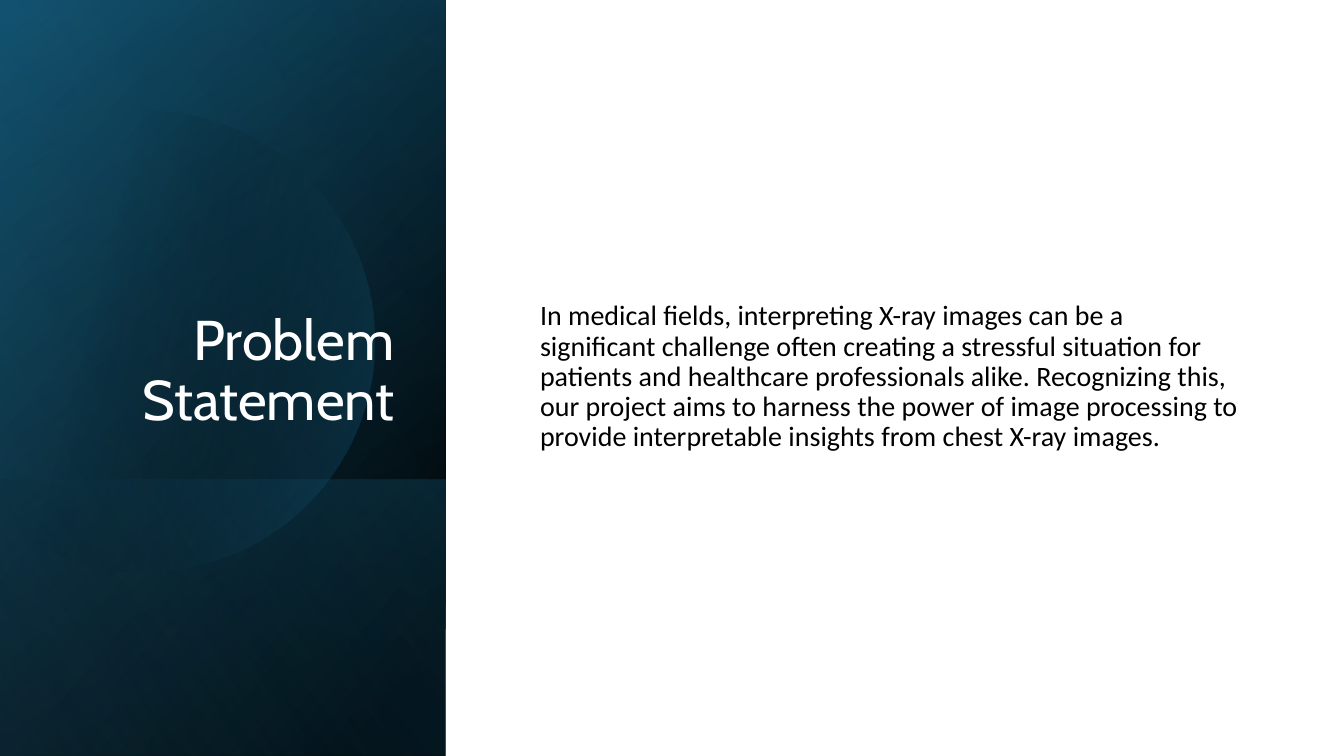
from math import acos, cos, sin

from pptx import Presentation
from pptx.dml.color import RGBColor as Rgb
from pptx.enum.shapes import MSO_SHAPE as Kind
from pptx.enum.text import MSO_ANCHOR as Anchor, PP_ALIGN as Align
from pptx.oxml import parse_xml
from pptx.oxml.ns import nsdecls, qn
from pptx.util import Cm, Pt

# Content
TITLE = "Problem Statement"
BODY = (
    "In medical fields, interpreting X-ray images can be a significant "
    "challenge often creating a stressful situation for patients and "
    "healthcare professionals alike. Recognizing this, our project aims to "
    "harness the power of image processing to provide interpretable insights "
    "from chest X-ray images."
)

# Theme
THEME = {
    "black": "000000", "white": "FFFFFF", "navy": "104862",
    "teal": "156082", "sky": "46B1E1",
    "head": {"name": "Cabin", "size": Pt(40)},
    "text": {"name": "Calibri", "size": Pt(20)},
}

# Layout in cm: left, top, width, height
WIDE, HIGH, SIDE = 33.87, 19.05, 11.23
PANEL = (0, 0, SIDE, HIGH)
FOOT = (0, 12.09, SIDE, 6.96)

# Panel layers: box, angle, stops of (place, colour, opacity)
BASE = [
    (PANEL, 50, [(8, "black", 100), (100, "navy", 100)]),
    (PANEL, 30, [(0, "black", 0), (99, "teal", 46)]),
    (FOOT, 130, [(2, "teal", 29), (100, "black", 30)]),
]
GLOW = (PANEL, 120, [(0, "black", 0), (99, "sky", 11)])

# Disc cut off by the left edge: centre, radius, angle, stops
DISC = (3.65, 8.6, 5.8, 14, [(29, "black", 0), (100, "teal", 43)])
STEPS = 120

# Text boxes: text, box, font, colour, anchor, paragraph format
TEXTS = [
    (TITLE, (1.3, 1.63, 8.89, 9.4), "head", "white", Anchor.BOTTOM,
     {"alignment": Align.RIGHT, "line_spacing": 0.9}),
    (BODY, (13.36, 1.8, 18.21, 15.42), "text", "black", Anchor.MIDDLE,
     {"alignment": Align.LEFT, "line_spacing": 0.9, "space_before": Pt(10)}),
]


def color(key):
    return Rgb.from_string(THEME[key])


def plain(shape):
    shape.shadow.inherit = False
    shape.line.fill.background()


def shade(shape, angle, stops):
    plain(shape)
    shape.fill.background()
    marks = "".join(
        f'<a:gs pos="{place * 1000}"><a:srgbClr val="{THEME[key]}">'
        f'<a:alpha val="{clear * 1000}"/></a:srgbClr></a:gs>'
        for place, key, clear in stops
    )
    grad = parse_xml(
        f'<a:gradFill {nsdecls("a")} rotWithShape="1"><a:gsLst>{marks}</a:gsLst>'
        f'<a:lin ang="{angle * 60000}" scaled="0"/></a:gradFill>'
    )
    props = shape.element.spPr
    props.replace(props.find(qn("a:noFill")), grad)


def add_layer(shapes, box, angle, stops):
    # A quarter turn swaps width and height about the centre
    left, top, wide, high = box
    turned = (left + (wide - high) / 2, top + (high - wide) / 2, high, wide)
    shape = shapes.add_shape(Kind.RECTANGLE, *map(Cm, turned))
    shape.rotation = 90
    shape.element.spPr.xfrm.set("flipH", "1")
    shade(shape, angle, stops)


def add_disc(shapes, mid, level, radius, angle, stops):
    end = acos(-mid / radius)
    turns = [end * (2 * i / STEPS - 1) for i in range(STEPS + 1)]
    dots = [(Cm(mid + radius * cos(t)), Cm(level + radius * sin(t)))
            for t in turns]
    pen = shapes.build_freeform(*dots[0])
    pen.add_line_segments(dots[1:], close=True)
    shade(pen.convert_to_shape(), angle, stops)


def add_text(shapes, text, box, font, key, anchor, style):
    frame = shapes.add_textbox(*map(Cm, box)).text_frame
    frame.word_wrap = True
    frame.vertical_anchor = anchor
    para = frame.paragraphs[0]
    run = para.add_run()
    run.text = text
    run.font.color.rgb = color(key)
    for part, values in ((para, style), (run.font, THEME[font])):
        for name, value in values.items():
            setattr(part, name, value)


def main():
    deck = Presentation()
    deck.slide_width, deck.slide_height = Cm(WIDE), Cm(HIGH)
    shapes = deck.slides.add_slide(deck.slide_layouts[6]).shapes

    # White page
    page = shapes.add_shape(Kind.RECTANGLE, 0, 0, Cm(WIDE), Cm(HIGH))
    plain(page)
    page.fill.solid()
    page.fill.fore_color.rgb = color("white")

    # Side panel
    for layer in BASE:
        add_layer(shapes, *layer)
    add_disc(shapes, *DISC)
    add_layer(shapes, *GLOW)

    # Title and body
    for item in TEXTS:
        add_text(shapes, *item)

    deck.save("out.pptx")


if __name__ == "__main__":
    main()
